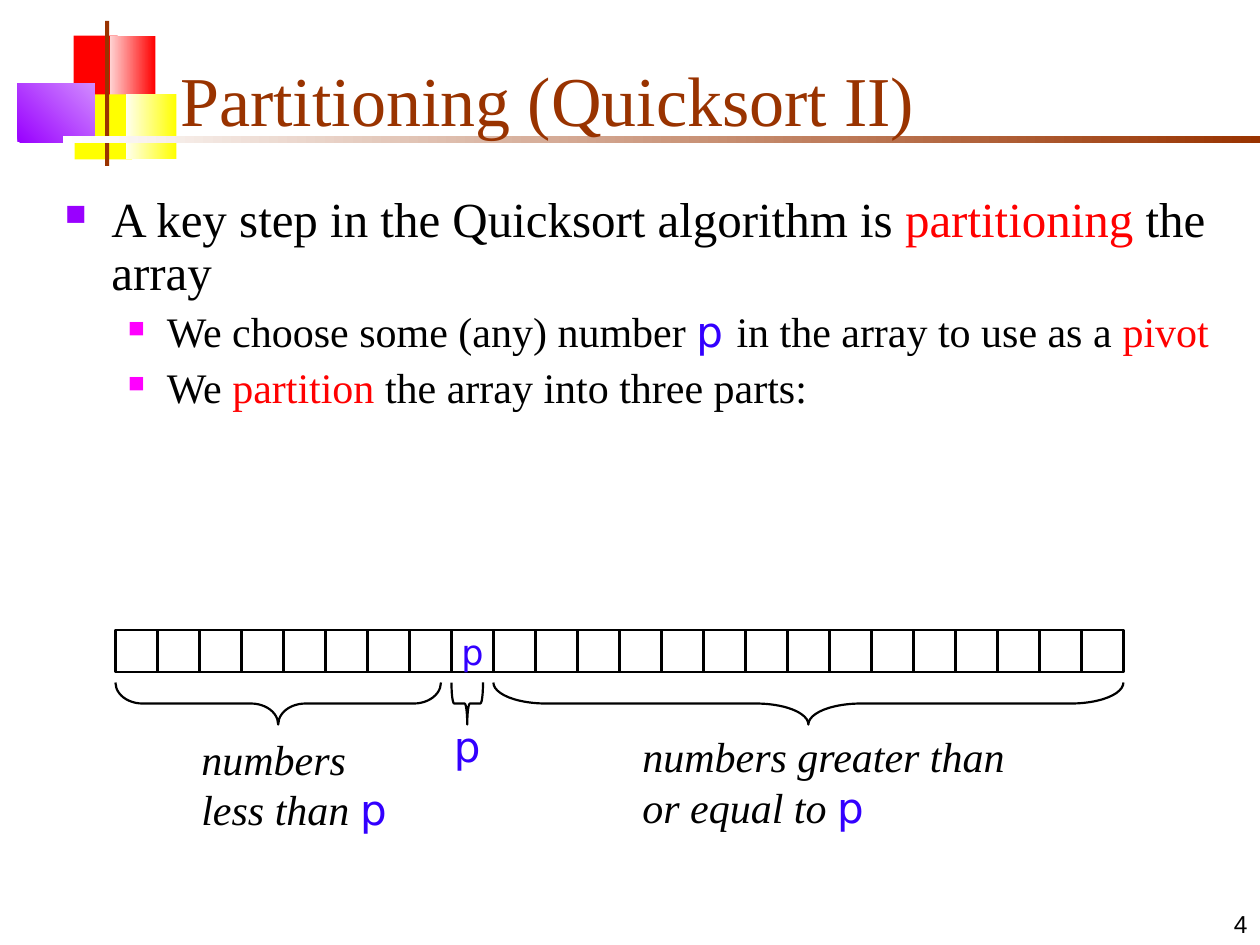
from dataclasses import dataclass
from typing import NamedTuple

from lxml import etree
from pptx import Presentation
from pptx.dml.color import RGBColor
from pptx.enum.shapes import MSO_SHAPE
from pptx.enum.text import MSO_ANCHOR, PP_ALIGN
from pptx.oxml.ns import qn
from pptx.util import Inches, Pt

RECT, BRACE = MSO_SHAPE.RECTANGLE, MSO_SHAPE.LEFT_BRACE
TOP, MIDDLE, BOTTOM = MSO_ANCHOR.TOP, MSO_ANCHOR.MIDDLE, MSO_ANCHOR.BOTTOM
LEFT, CENTER, RIGHT = PP_ALIGN.LEFT, PP_ALIGN.CENTER, PP_ALIGN.RIGHT


@dataclass(frozen=True)
class Theme:
    """Colours, fonts and type sizes of the slide."""
    ink: str = "000000"
    brown: str = "993300"
    red: str = "FF0000"
    yellow: str = "FFFF00"
    violet: str = "9900FF"
    magenta: str = "FF00FF"
    blue: str = "3300FF"
    white: str = "FFFFFF"
    pale_red: str = "FFD1D1"
    pale_yellow: str = "FFFFF0"
    pale_violet: str = "D18BFF"
    serif: str = "Times New Roman"
    sans: str = "Arial"
    symbol: str = "DejaVu Sans"
    title: int = 40
    body: int = 28
    detail: int = 24
    cell: int = 20
    number: int = 14
    line: float = 1.25


THEME = Theme()


class Box(NamedTuple):
    """Left, top, width and height in grid units of a twelfth of an inch."""
    left: float
    top: float
    width: float
    height: float


class Span(NamedTuple):
    """A stretch of text in one format."""
    text: str
    size: int
    color: str = THEME.ink
    font: str = THEME.serif
    italic: bool = False


class Bullet(NamedTuple):
    """Marker and indents of one list level."""
    color: str
    percent: int
    margin: float
    hang: float
    level: int
    before: int


class Ornament(NamedTuple):
    """A filled rectangle, shaded when it has two colours."""
    box: Box
    colors: tuple[str, ...]
    angle: int = 0


class Part(NamedTuple):
    """A braced stretch of the array with its label."""
    start: float
    width: float
    label: Box
    spans: list[Span]
    align: PP_ALIGN = LEFT


UNIT = Inches(1 / 12)
CELL, CELLS, PIVOT = 4, 24, 8
ARRAY_LEFT, ARRAY_TOP, BRACE_TOP = 11, 60, 65
MAIN = Bullet(THEME.violet, 60, 0.37, 0.37, 0, 0)
SUB = Bullet(THEME.magenta, 55, 0.81, 0.31, 1, 6)

ORNAMENTS = [
    Ornament(Box(7, 3.4, 4.2, 6.2), (THEME.red,)),
    Ornament(Box(10.5, 3.4, 4.3, 6.2), (THEME.pale_red, THEME.red)),
    Ornament(Box(7.1, 9, 5.5, 6.2), (THEME.yellow,)),
    Ornament(Box(12, 9, 4.8, 6.2), (THEME.pale_yellow, THEME.yellow)),
    Ornament(Box(1.65, 7.95, 7.4, 5.6), (THEME.violet, THEME.pale_violet), 45),
    Ornament(Box(10, 2, 0.4, 13.8), (THEME.brown,)),
    Ornament(Box(6, 12.95, 114, 0.63), (THEME.white, THEME.brown)),
]


def words(text: str, color: str = THEME.ink, size: int = THEME.detail) -> Span:
    """Return upright serif text."""
    return Span(text, size, color)


def pivot_mark(text: str = "p", size: int = THEME.detail) -> Span:
    """Return the blue pivot symbol."""
    return Span(text, size, THEME.blue, THEME.symbol)


def label(text: str) -> list[Span]:
    """Return an italic label that ends with the pivot symbol."""
    return [Span(text, THEME.detail, italic=True), pivot_mark()]


POINTS = [
    (MAIN, [words("A key step in the Quicksort algorithm is ", size=THEME.body),
            words("partitioning", THEME.red, THEME.body),
            words(" the array", size=THEME.body)]),
    (SUB, [words("We choose some (any) number "), pivot_mark("p "),
           words("in the array to use as a "), words("pivot", THEME.red)]),
    (SUB, [words("We "), words("partition", THEME.red),
           words(" the array into three parts:")]),
]

PARTS = [
    Part(11, 31, Box(18, 69.25, 23, 10.8), label("numbers less than ")),
    Part(47, 60, Box(60, 69, 37, 10.8), label("numbers greater than or equal to ")),
    Part(43, 3, Box(41, 68, 7, 6), [pivot_mark()], CENTER),
]


def add_spans(para, spans: list[Span]) -> None:
    """Add formatted runs to a paragraph."""
    for span in spans:
        run = para.add_run()
        run.text = span.text
        formats = {"size": Pt(span.size), "name": span.font, "italic": span.italic}
        for name, value in formats.items():
            setattr(run.font, name, value)
        run.font.color.rgb = RGBColor.from_string(span.color)


def add_bullet(para, bullet: Bullet) -> None:
    """Give a paragraph a square bullet with a hanging indent."""
    props = para._p.get_or_add_pPr()
    props.set("marL", str(Inches(bullet.margin)))
    props.set("indent", str(-Inches(bullet.hang)))
    color = etree.SubElement(props, qn("a:buClr"))
    etree.SubElement(color, qn("a:srgbClr")).set("val", bullet.color)
    etree.SubElement(props, qn("a:buSzPct")).set("val", str(bullet.percent * 1000))
    etree.SubElement(props, qn("a:buChar")).set("char", "■")
    formats = {"level": bullet.level, "line_spacing": 0.9, "space_before": Pt(bullet.before)}
    for name, value in formats.items():
        setattr(para, name, value)


def add_text(shapes, box: Box, spans: list[Span], anchor=TOP, align=LEFT):
    """Add a wrapping text box and return its frame."""
    frame = shapes.add_textbox(*(round(UNIT * side) for side in box)).text_frame
    frame.word_wrap = True
    frame.vertical_anchor = anchor
    frame.paragraphs[0].alignment = align
    add_spans(frame.paragraphs[0], spans)
    return frame


def add_figure(shapes, kind: MSO_SHAPE, box: Box):
    """Add an unfilled outlined shape."""
    figure = shapes.add_shape(kind, *(round(UNIT * side) for side in box))
    figure.shadow.inherit = False
    figure.fill.background()
    figure.line.color.rgb = RGBColor.from_string(THEME.ink)
    figure.line.width = Pt(THEME.line)
    return figure


def add_ornament(shapes, ornament: Ornament) -> None:
    """Add a borderless rectangle with a solid or shaded fill."""
    figure = add_figure(shapes, RECT, ornament.box)
    figure.line.fill.background()
    if len(ornament.colors) == 1:
        figure.fill.solid()
        figure.fill.fore_color.rgb = RGBColor.from_string(ornament.colors[0])
        return
    figure.fill.gradient()
    figure.fill.gradient_angle = ornament.angle
    for stop, color in zip(figure.fill.gradient_stops, ornament.colors):
        stop.color.rgb = RGBColor.from_string(color)


def add_array(shapes) -> None:
    """Add the row of cells with the pivot marked."""
    for index in range(CELLS):
        cell = add_figure(shapes, RECT, Box(ARRAY_LEFT + index * CELL, ARRAY_TOP, CELL, CELL))
        if index == PIVOT:
            frame = cell.text_frame
            frame.word_wrap = False
            frame.vertical_anchor = MIDDLE
            frame.paragraphs[0].alignment = CENTER
            add_spans(frame.paragraphs[0], [pivot_mark(size=THEME.cell)])


def add_part(shapes, part: Part) -> None:
    """Add a downward brace and the label under it."""
    left = part.start + (part.width - CELL) / 2
    top = BRACE_TOP + (CELL - part.width) / 2
    brace = add_figure(shapes, BRACE, Box(left, top, CELL, part.width))
    brace.rotation = 270
    brace.adjustments[0] = part.width / 12 / min(CELL, part.width)
    add_text(shapes, part.label, part.spans, align=part.align)


def main() -> None:
    """Build and save the slide."""
    deck = Presentation()
    deck.slide_width, deck.slide_height = UNIT * 120, UNIT * 90
    page = deck.slides.add_slide(deck.slide_layouts[6])
    for ornament in ORNAMENTS:
        add_ornament(page.shapes, ornament)
    add_text(page.shapes, Box(95, 84, 25, 6),
             [Span("4", THEME.number, font=THEME.sans)], BOTTOM, RIGHT)
    add_text(page.shapes, Box(16, 3, 102.2, 11),
             [words("Partitioning (Quicksort II)", THEME.brown, THEME.title)], BOTTOM)
    frame = add_text(page.shapes, Box(5, 18, 112.6, 34.3), [])
    for index, (bullet, spans) in enumerate(POINTS):
        para = frame.add_paragraph() if index else frame.paragraphs[0]
        add_bullet(para, bullet)
        add_spans(para, spans)
    add_array(page.shapes.add_group_shape().shapes)
    for part in PARTS:
        add_part(page.shapes.add_group_shape().shapes, part)
    deck.save("out.pptx")


if __name__ == "__main__":
    main()
